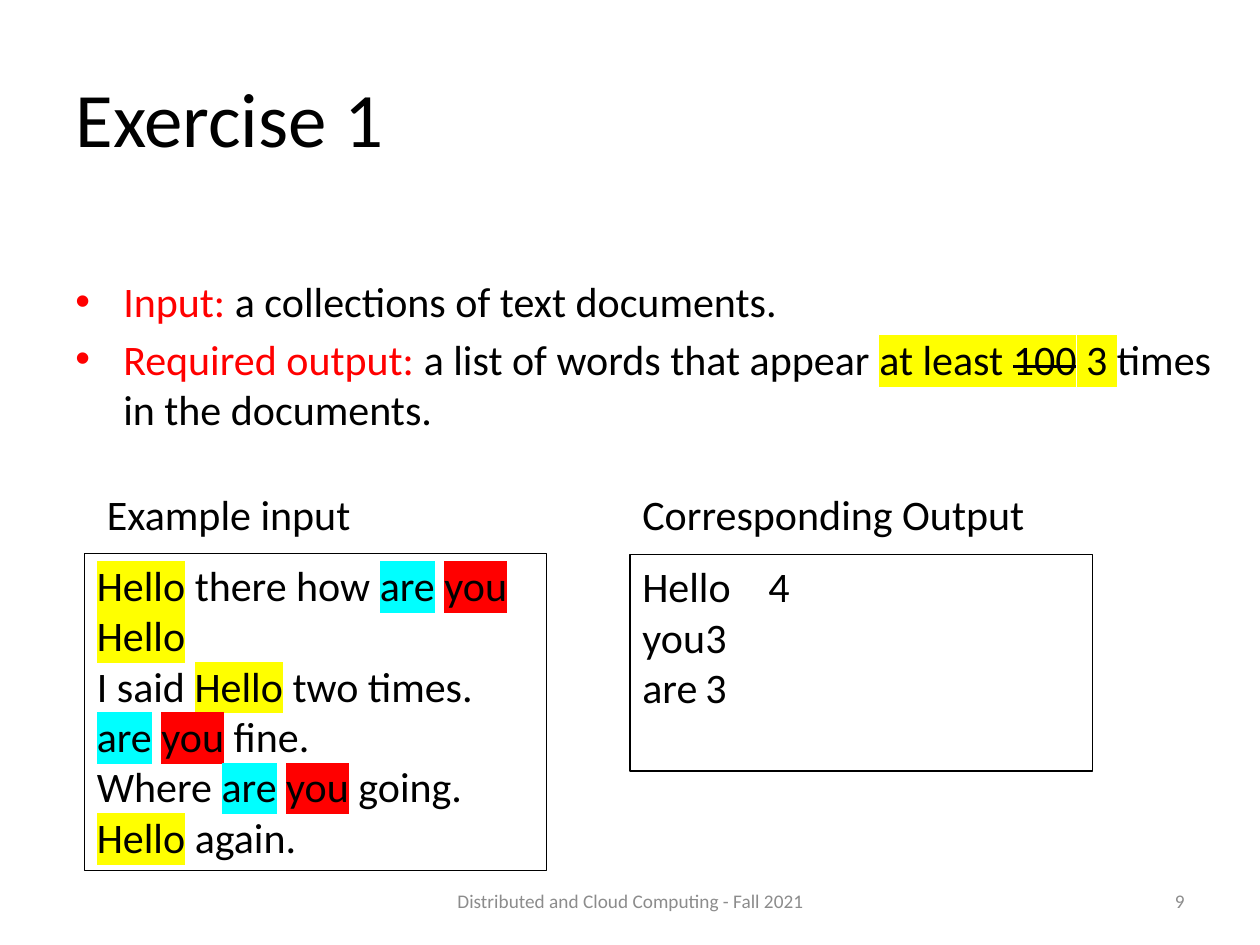
from itertools import groupby

from lxml.etree import SubElement
from pptx import Presentation
from pptx.dml.color import RGBColor
from pptx.enum.shapes import MSO_SHAPE as SHAPE
from pptx.enum.text import MSO_ANCHOR as ANCHOR, PP_ALIGN as ALIGN
from pptx.oxml.ns import qn
from pptx.util import Inches, Pt

BLACK, RED, GRAY = "000000", "FF0000", "8C8C8C"
YELLOW, CYAN = "FFFF00", "00FFFF"
WORD_MARKS = {"Hello": YELLOW, "are": CYAN, "you": RED}


def rgb(value):
    """Return the colour for a hex string."""
    return RGBColor.from_string(value)


def mark_words(line):
    """Split a line into runs, highlighting the counted words."""
    tokens = line.replace(" ", "| |").split("|")
    return [("".join(group), {"mark": mark})
            for mark, group in groupby(tokens, key=WORD_MARKS.get)]


class Deck:
    """Holds the text style and the current slide."""

    font = "Calibri"
    size = 24

    def __init__(self):
        """Start a presentation with one title-only slide."""
        self.prs = Presentation()
        self.prs.slide_width, self.prs.slide_height = Inches(10), Inches(7.5)
        self.s = self.prs.slides.add_slide(self.prs.slide_layouts[5])

    def run(self, p, text, color=BLACK, size=None, mark=None, strike=False):
        """Add a run with its colour, highlight and strike."""
        r = p.add_run()
        r.text = text
        r.font.size = Pt(size or self.size)
        r.font.color.rgb = rgb(color)
        rPr = r.font._element
        if strike:
            rPr.set("strike", "sngStrike")
        if mark:
            highlight = SubElement(rPr, qn("a:highlight"))
            SubElement(highlight, qn("a:srgbClr")).set("val", mark)
        r.font.name = self.font

    def fill_text(self, sp, paragraphs, align=ALIGN.LEFT, anchor=ANCHOR.TOP):
        """Write paragraphs, each a list of (text, style) runs."""
        tf = sp.text_frame
        tf.word_wrap = True
        tf.vertical_anchor = anchor
        for i, runs in enumerate(paragraphs):
            p = tf.add_paragraph() if i else tf.paragraphs[0]
            p.alignment = align
            for text, style in runs:
                self.run(p, text, **style)
        return tf

    def title(self, text, x, y, w, h):
        """Place and format the title placeholder."""
        sp = self.s.shapes.title
        sp.left, sp.top, sp.width, sp.height = map(Inches, (x, y, w, h))
        self.fill_text(sp, [[(text, {"size": 44})]], anchor=ANCHOR.MIDDLE)

    def text(self, paragraphs, x, y, w, h, **layout):
        """Add a text box."""
        sp = self.s.shapes.add_textbox(*map(Inches, (x, y, w, h)))
        return self.fill_text(sp, paragraphs, **layout)

    def bullets(self, paragraphs, x, y, w, h):
        """Add a bulleted list with hanging indents."""
        tf = self.text(paragraphs, x, y, w, h)
        for i, p in enumerate(tf.paragraphs):
            pPr = p._p.get_or_add_pPr()
            pPr.set("marL", str(Inches(0.38)))
            pPr.set("indent", str(-Inches(0.38)))
            SubElement(pPr, qn("a:buFont")).set("typeface", "Arial")
            SubElement(pPr, qn("a:buChar")).set("char", "•")
            if i:
                p.space_before = Pt(4)

    def box(self, paragraphs, x, y, w, h):
        """Add an outlined rectangle with text."""
        sp = self.s.shapes.add_shape(SHAPE.RECTANGLE, *map(Inches, (x, y, w, h)))
        sp.shadow.inherit = False
        sp.fill.background()
        sp.line.color.rgb = rgb(BLACK)
        sp.line.width = Pt(0.75)
        self.fill_text(sp, paragraphs)

    def footer(self, text, x, w, align):
        """Add a small grey text at the bottom."""
        self.text([[(text, {"color": GRAY, "size": 11})]], x, 6.95, w, 0.4,
                  align=align, anchor=ANCHOR.MIDDLE)


def main():
    """Build the exercise slide."""
    deck = Deck()
    deck.title("Exercise 1", 0.5, 0.3, 9, 1.25)
    deck.bullets([
        [("Input:", {"color": RED}), (" a collections of text documents.", {})],
        [("Required output: ", {"color": RED}),
         ("a list of words that appear ", {}),
         ("at least ", {"mark": YELLOW}),
         ("100", {"mark": YELLOW, "strike": True}),
         (" 3 ", {"mark": YELLOW}),
         ("times in the documents.", {})],
    ], 0.5, 2.14, 9.25, 1.61)
    deck.footer("Distributed and Cloud Computing - Fall 2021", 3.42, 3.17, ALIGN.CENTER)
    deck.footer("9", 7.17, 2.33, ALIGN.RIGHT)

    deck.text([[("Example input", {})]], 0.75, 3.83, 2.5, 0.5)
    documents = ["Hello there how are you", "Hello", "I said Hello two times.",
                 "are you fine.", "Where are you going.", "Hello again."]
    deck.box([mark_words(line) for line in documents], 0.67, 4.39, 3.67, 2.52)

    deck.text([[("Corresponding Output", {})]], 5, 3.83, 3.96, 0.5)
    counts = {"Hello": 4, "you": 3, "are": 3}
    deck.box([[(f"{word}\t{count}", {})] for word, count in counts.items()],
             5, 4.4, 3.67, 1.72)
    deck.prs.save("out.pptx")


if __name__ == "__main__":
    main()
